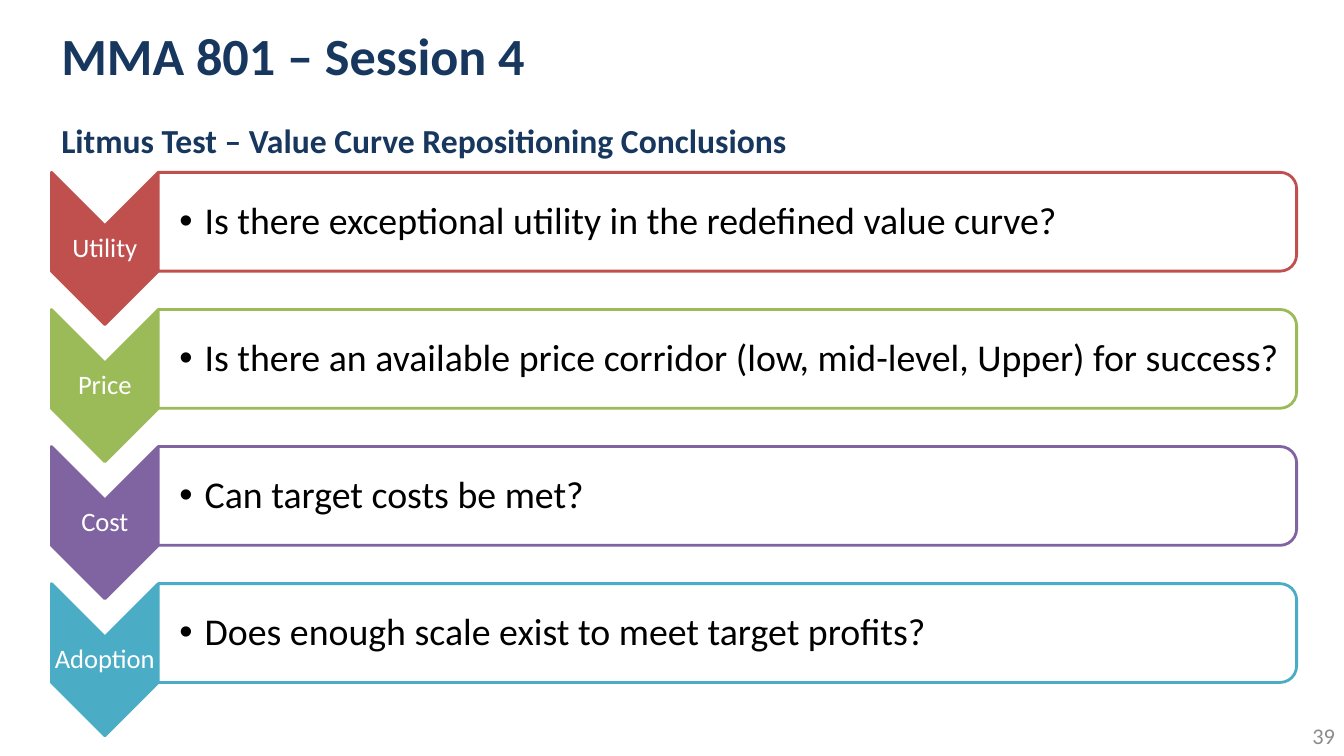
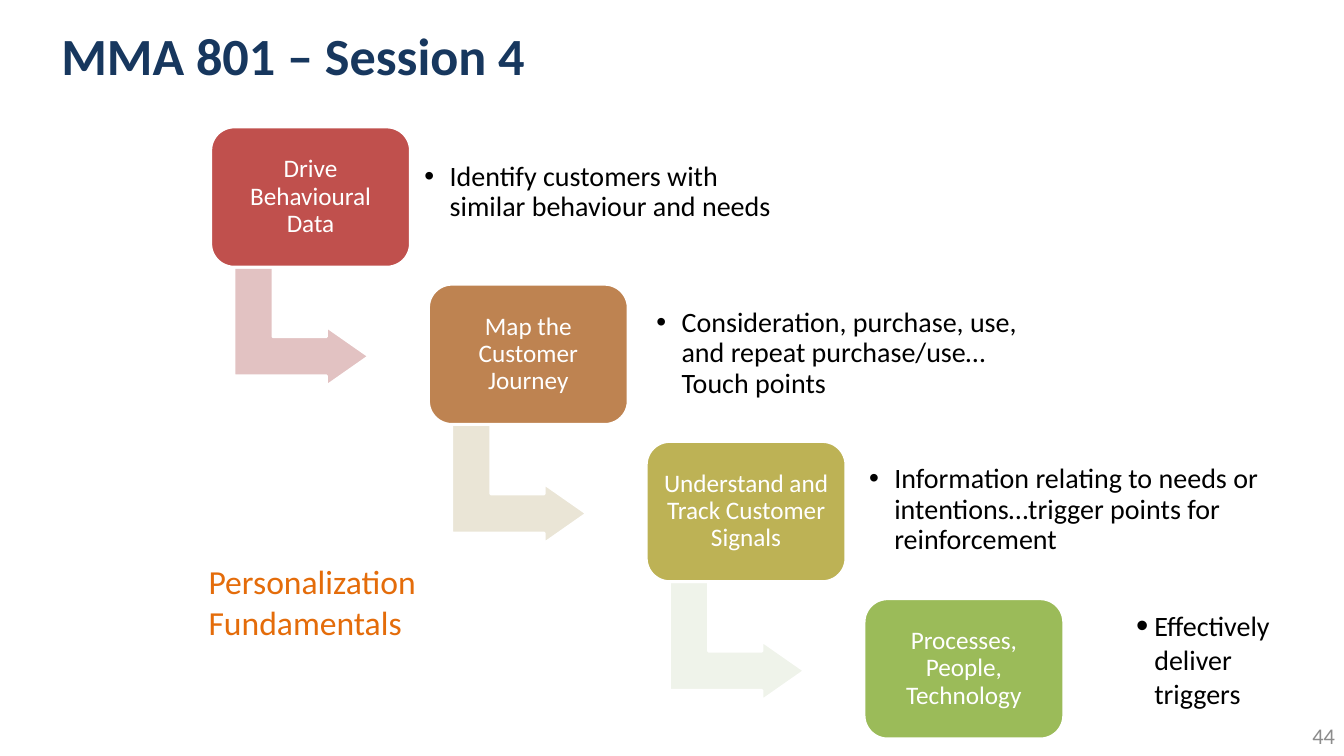
from lxml.etree import SubElement
from pptx import Presentation
from pptx.dml.color import RGBColor
from pptx.enum.shapes import MSO_SHAPE
from pptx.enum.text import MSO_ANCHOR, PP_ALIGN
from pptx.oxml.ns import qn
from pptx.util import Inches, Pt

NAVY = RGBColor(0x17, 0x37, 0x5E)
GREY = RGBColor(0x8C, 0x8C, 0x8C)
ORANGE = RGBColor(0xE4, 0x6C, 0x0A)
BLACK = RGBColor(0x00, 0x00, 0x00)
WHITE = RGBColor(0xFF, 0xFF, 0xFF)
RED = RGBColor(0xC0, 0x50, 0x4D)
GREEN = RGBColor(0x9B, 0xBB, 0x59)
PURPLE = RGBColor(0x80, 0x64, 0xA2)
TEAL = RGBColor(0x4B, 0xAC, 0xC6)
BROWN = RGBColor(0xBE, 0x83, 0x51)
OLIVE = RGBColor(0xBD, 0xB2, 0x55)
PALE_RED = RGBColor(0xE2, 0xC2, 0xC2)
PALE_BROWN = RGBColor(0xEA, 0xE5, 0xD6)
PALE_GREEN = RGBColor(0xEF, 0xF3, 0xEA)

TITLE = "MMA 801 – Session 4"


class Deck:
    font = "Calibri"

    def __init__(self):
        self.presentation = Presentation()
        self.presentation.slide_width = Inches(13.33)
        self.presentation.slide_height = Inches(7.5)
        self.slide = None

    def add_slide(self, number):
        """Start a slide with the shared title and page number."""
        layout = self.presentation.slide_layouts[6]
        self.slide = self.presentation.slides.add_slide(layout)
        self.text(TITLE, 0.51, 0.07, 10.94, 0.94, 37.3, NAVY, bold=True)
        self.text(str(number), 11.71, 7.1, 1.63, 0.4, 16, GREY,
                  align=PP_ALIGN.RIGHT)

    def fill_frame(self, frame, words, size, color, bold=False,
                   align=PP_ALIGN.LEFT, anchor=MSO_ANCHOR.MIDDLE,
                   insets=(0.1, 0.05, 0.1, 0.05), spacing=1.0, indent=0,
                   bullet_percent=100):
        """Put words in a text frame; a non-zero indent makes a bullet point."""
        frame.word_wrap = True
        frame.vertical_anchor = anchor
        (frame.margin_left, frame.margin_top,
         frame.margin_right, frame.margin_bottom) = map(Inches, insets)
        paragraph = frame.paragraphs[0]
        paragraph.alignment = align
        paragraph.line_spacing = spacing
        if indent:
            properties = paragraph._p.get_or_add_pPr()
            properties.set("marL", str(Inches(indent)))
            properties.set("indent", str(-Inches(indent)))
            SubElement(properties, qn("a:buSzPct"), val=str(bullet_percent * 1000))
            SubElement(properties, qn("a:buFont"), typeface="Arial")
            SubElement(properties, qn("a:buChar"), char="•")
        run = paragraph.add_run()
        run.text = words
        run.font.name = self.font
        run.font.size = Pt(size)
        run.font.bold = bold
        run.font.color.rgb = color

    def text(self, words, left, top, width, height, size, color, **style):
        box = self.slide.shapes.add_textbox(
            Inches(left), Inches(top), Inches(width), Inches(height))
        self.fill_frame(box.text_frame, words, size, color, **style)

    def shape(self, preset, left, top, width, height, fill, line, adjust=()):
        shape = self.slide.shapes.add_shape(
            preset, Inches(left), Inches(top), Inches(width), Inches(height))
        shape.shadow.inherit = False
        shape.fill.solid()
        shape.fill.fore_color.rgb = fill
        shape.line.color.rgb = line
        shape.line.width = Pt(2)
        for index, value in enumerate(adjust):
            shape.adjustments[index] = value
        return shape

    def turned(self, preset, left, top, width, height, *style):
        """Add a shape turned by 90 degrees that covers the given area."""
        shift = (width - height) / 2
        shape = self.shape(preset, left + shift, top - shift, height, width, *style)
        shape.rotation = 90

    def question_row(self, top, label, question, color):
        self.turned(MSO_SHAPE.CHEVRON, 0.51, top, 1.06, 1.51, color, color)
        self.text(label, 0.51, top + 0.53, 1.06, 0.45, 19, WHITE, spacing=0.9,
                  align=PP_ALIGN.CENTER, insets=(0.01,) * 4)
        self.turned(MSO_SHAPE.ROUND_2_SAME_RECTANGLE, 1.57, top, 11.29, 0.98,
                    WHITE, color)
        self.text(question, 1.57, top + 0.05, 11.24, 0.89, 27, BLACK, spacing=0.9,
                  indent=0.25, insets=(0.21, 0.02, 0.02, 0.02))

    def step(self, left, top, label, color, arrow_color=None):
        if arrow_color is not None:
            self.turned(MSO_SHAPE.BENT_UP_ARROW, left + 0.23, top + 1.39, 1.34, 1.18,
                        arrow_color, WHITE, (0.328, 0.25, 0.358))
        box = self.shape(MSO_SHAPE.ROUNDED_RECTANGLE, left, top, 1.98, 1.39,
                         color, WHITE, (0.167,))
        self.fill_frame(box.text_frame, label, 18, WHITE, align=PP_ALIGN.CENTER,
                        spacing=0.9, insets=(0.07,) * 4)

    def detail(self, words, left, top, width):
        self.text(words, left, top, width, 1.12, 20, BLACK, spacing=0.9,
                  indent=0.25, insets=(0.08,) * 4)


def add_litmus_test(deck):
    deck.add_slide(39)
    deck.text("Litmus Test – Value Curve Repositioning Conclusions",
              0.51, 1.03, 8.2, 0.71, 24, NAVY, bold=True)
    questions = [
        ("Utility", "Is there exceptional utility in the redefined value curve?", RED),
        ("Price", "Is there an available price corridor (low, mid-level, Upper) "
                  "for success?", GREEN),
        ("Cost", "Can target costs be met?", PURPLE),
        ("Adoption", "Does enough scale exist to meet target profits?", TEAL),
    ]
    for row, question in enumerate(questions):
        deck.question_row(1.71 + 1.36 * row, *question)


def add_personalization(deck):
    deck.add_slide(44)
    steps = [
        ("Drive Behavioural Data", RED, PALE_RED),
        ("Map the Customer Journey", BROWN, PALE_BROWN),
        ("Understand and Track Customer Signals", OLIVE, PALE_GREEN),
        ("Processes, People, Technology", GREEN),
    ]
    for index, step in enumerate(steps):
        deck.step(2.09 + 2.16 * index, 1.26 + 1.56 * index, *step)
    details = [
        ("Identify customers with similar behaviour and needs", 4.13, 1.35, 3.6),
        ("Consideration, purchase, use, and repeat purchase/use… Touch points",
         6.43, 2.95, 3.82),
        ("Information relating to needs or intentions…trigger points for "
         "reinforcement", 8.54, 4.5, 4.24),
    ]
    for detail in details:
        deck.detail(*detail)
    deck.text("Effectively deliver triggers", 11.17, 5.99, 1.55, 1.11, 20, BLACK,
              anchor=MSO_ANCHOR.TOP, indent=0.18, bullet_percent=125)
    deck.text("Personalization Fundamentals", 1.97, 5.52, 3.08, 0.91, 24, ORANGE,
              anchor=MSO_ANCHOR.TOP)


def main():
    deck = Deck()
    add_litmus_test(deck)
    add_personalization(deck)
    deck.presentation.save("out.pptx")


if __name__ == "__main__":
    main()
